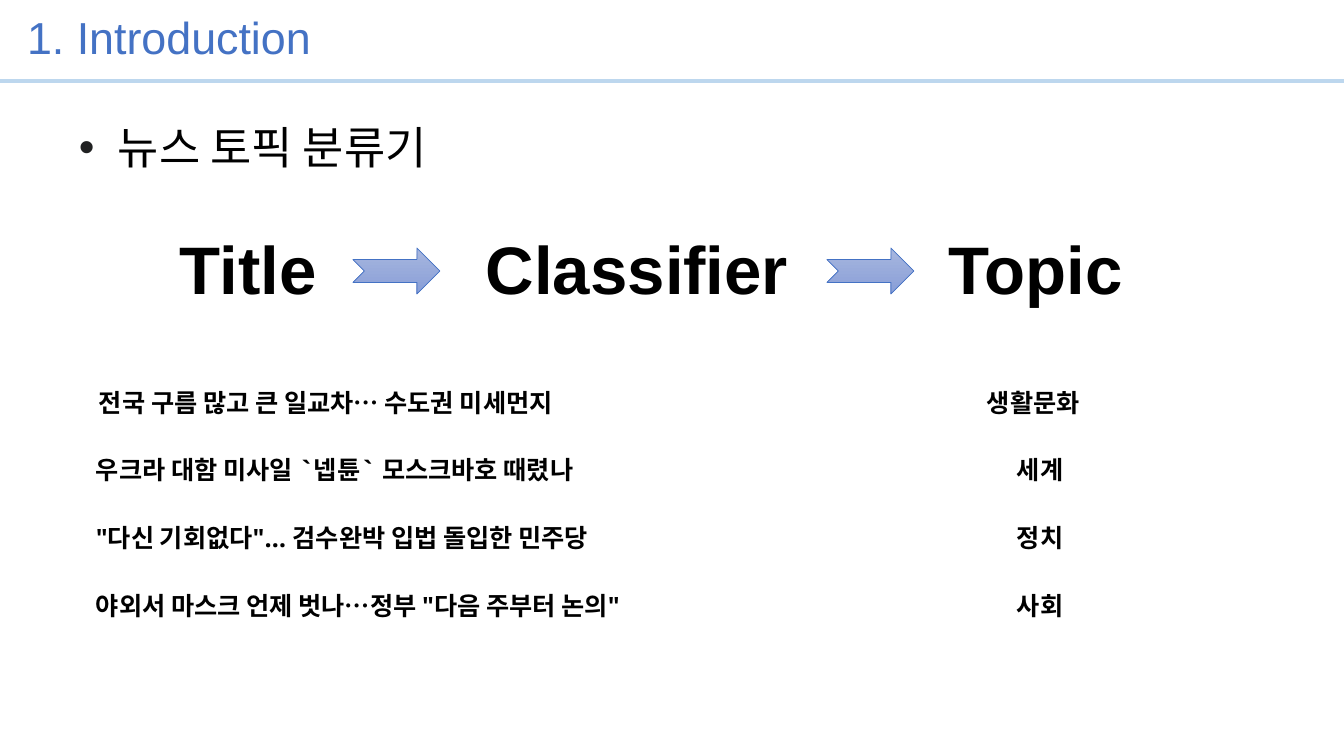
from lxml.etree import SubElement
from pptx import Presentation
from pptx.dml.color import RGBColor
from pptx.enum.shapes import MSO_CONNECTOR as Connector, MSO_SHAPE as Shape
from pptx.enum.text import MSO_ANCHOR as Anchor, MSO_AUTO_SIZE as AutoSize, PP_ALIGN as Align
from pptx.oxml.ns import qn
from pptx.util import Emu, Pt

EMU_PER_PX = 914400 / 100.8
BLACK = RGBColor(0x00, 0x00, 0x00)
BLUE = RGBColor(0x44, 0x72, 0xC4)
PALE_BLUE = RGBColor(0xBD, 0xD7, 0xEE)
ARROW_TOP = RGBColor(0xA8, 0xB7, 0xDF)
ARROW_BOTTOM = RGBColor(0x88, 0x9E, 0xD7)
BULLET_GREY = RGBColor(0x20, 0x21, 0x22)


def px(length):
    return Emu(round(length * EMU_PER_PX))


class IntroSlide:
    heading_font = "Arial"
    headline_font = "Open Sans"

    def __init__(self, deck):
        self.slide = deck.slides.add_slide(deck.slide_layouts[5])
        self.shapes = self.slide.shapes

    def fill_text(self, holder, text, size, font, color=BLACK, bold=False, align=Align.LEFT):
        frame = holder.text_frame
        frame.word_wrap = True
        frame.auto_size = AutoSize.SHAPE_TO_FIT_TEXT
        frame.vertical_anchor = Anchor.TOP
        paragraph = frame.paragraphs[0]
        paragraph.alignment = align
        run = paragraph.add_run()
        run.text = text
        run.font.size = Pt(size)
        run.font.name = font
        run.font.bold = bold
        run.font.color.rgb = color
        return paragraph

    def title(self, text, left, top, width, height):
        heading = self.shapes.title
        heading.left, heading.top = px(left), px(top)
        heading.width, heading.height = px(width), px(height)
        self.fill_text(heading, text, 32, self.heading_font, BLUE)

    def text(self, text, left, top, width, height, size, font, **style):
        holder = self.shapes.add_textbox(px(left), px(top), px(width), px(height))
        return self.fill_text(holder, text, size, font, **style)

    def bullet(self, text, left, top, width, height, margin, hanging):
        paragraph = self.text(text, left, top, width, height, 32, self.heading_font)
        properties = paragraph._p.get_or_add_pPr()
        properties.set("marL", str(px(margin)))
        properties.set("indent", str(-px(hanging)))
        color = SubElement(properties, qn("a:buClr"))
        SubElement(color, qn("a:srgbClr")).set("val", str(BULLET_GREY))
        SubElement(properties, qn("a:buFont")).set("typeface", self.heading_font)
        SubElement(properties, qn("a:buChar")).set("char", "•")

    def rule(self, y, width):
        divider = self.shapes.add_connector(Connector.STRAIGHT, 0, px(y), px(width), px(y))
        divider.line.color.rgb = PALE_BLUE
        divider.line.width = Pt(2.25)
        SubElement(divider._element.spPr, qn("a:effectLst"))

    def arrow(self, left, top, width, height):
        arrow = self.shapes.add_shape(
            Shape.NOTCHED_RIGHT_ARROW, px(left), px(top), px(width), px(height))
        arrow.shadow.inherit = False
        arrow.fill.gradient()
        arrow.fill.gradient_angle = 270
        for stop, color in zip(arrow.fill.gradient_stops, (ARROW_TOP, ARROW_BOTTOM)):
            stop.color.rgb = color
        arrow.line.color.rgb = BLUE
        arrow.line.width = Pt(0.5)


def main():
    deck = Presentation()
    deck.slide_width, deck.slide_height = px(1344), px(756)
    intro = IntroSlide(deck)

    intro.rule(81, 1344)
    intro.title("1. Introduction", 17, 5, 380, 64)
    intro.bullet("뉴스 토픽 분류기", 54, 115, 444, 64, margin=54, hanging=39)

    for stage, left, width in (("Title", 170, 168), ("Classifier", 476, 327), ("Topic", 939, 200)):
        intro.text(stage, left, 222, width, 92, 48, intro.heading_font, bold=True)
    for left in (353, 827):
        intro.arrow(left, 248, 87, 46)

    examples = (
        ("전국 구름 많고 큰 일교차… 수도권 미세먼지", 89, "생활문화", Align.LEFT),
        ("우크라 대함 미사일 `넵튠` 모스크바호 때렸나", 86, "세계", Align.CENTER),
        ("\"다신 기회없다\"… 검수완박 입법 돌입한 민주당", 86, "정치", Align.CENTER),
        ("야외서 마스크 언제 벗나…정부 \"다음 주부터 논의\"", 86, "사회", Align.CENTER),
    )
    for row, (headline, left, topic, align) in enumerate(examples):
        top = 382 + 203 * row // 3
        intro.text(headline, left, top, 675, 40, 18, intro.headline_font, bold=True)
        intro.text(topic, 977, top, 126, 40, 18, intro.headline_font, bold=True, align=align)

    deck.save("out.pptx")


if __name__ == "__main__":
    main()
